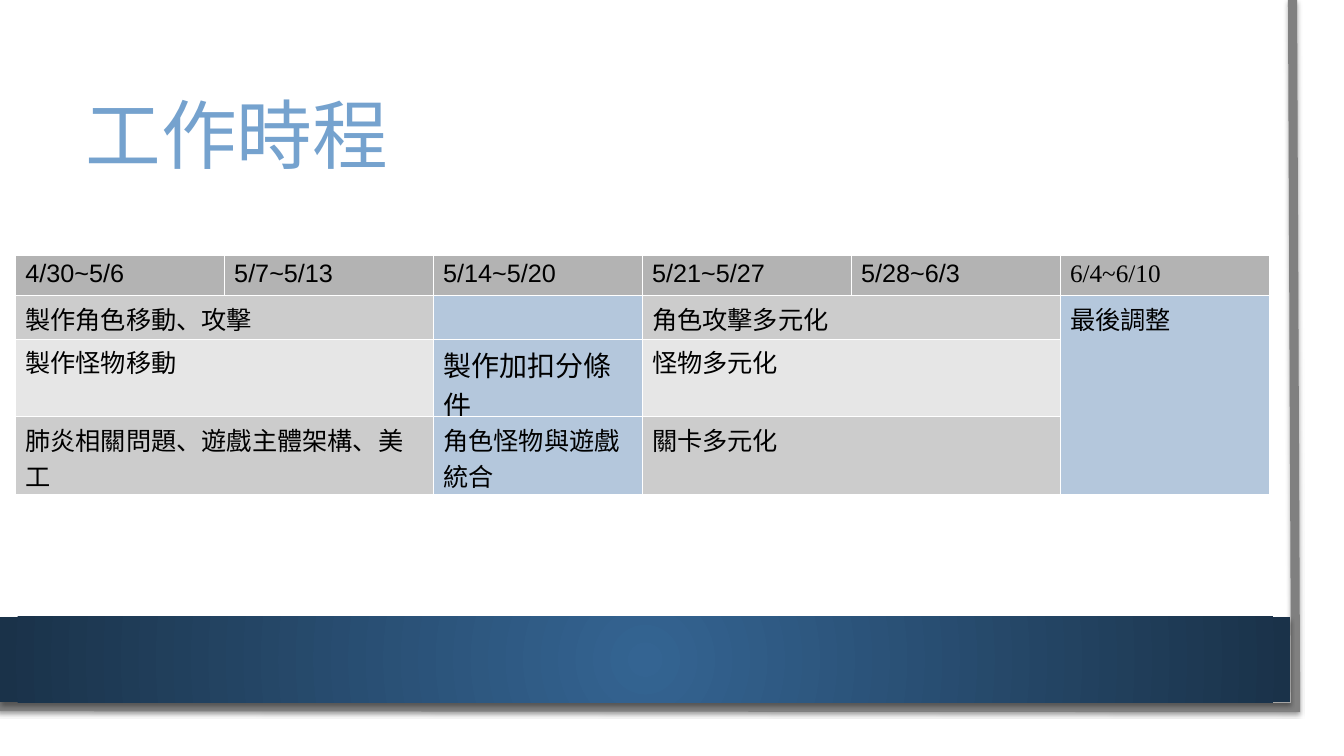
"""Build the work schedule slide."""
import dataclasses
import typing

import lxml.etree
import pptx
import pptx.dml.color
import pptx.enum.dml
import pptx.enum.shapes
import pptx.enum.text
import pptx.oxml
import pptx.oxml.ns
import pptx.util

WIDTH, HEIGHT = pptx.util.Inches(13.33), pptx.util.Inches(7.5)
SANS, CONDENSED, SERIF = "Arial", "Roboto Condensed", "Times New Roman"
HEADER, MID, LIGHT, BLUE = "B3B3B3", "CCCCCC", "E6E6E6", "B4C7DC"
COLUMN_COUNT, COLUMN_SHARE = 6, 15.55
ROW_SHARES = (5.33, 5.73, 5.73, 10.27)
FRAME_POINTS = ((96.17, 0), (96.4, 93.6), (-0.23, 93.47))


@dataclasses.dataclass(frozen=True)
class Area:
    left: float
    top: float
    width: float
    height: float

    def lengths(self) -> tuple[int, int, int, int]:
        return across(self.left), down(self.top), across(self.width), down(self.height)


@dataclasses.dataclass(frozen=True)
class Task:
    row: int
    column: int
    text: str
    fill: str
    font: str = SANS
    size: int = 18
    rows: int = 1
    columns: int = 1


TITLE_AREA = Area(5.63, 10, 85.3, 16.8)
BAND_AREA = Area(0, 81.6, 96.02, 11.33)
TABLE_AREA = Area(1.13, 33.73, COLUMN_COUNT * COLUMN_SHARE, sum(ROW_SHARES))
WEEKS = ("4/30~5/6", "5/7~5/13", "5/14~5/20", "5/21~5/27", "5/28~6/3", "6/4~6/10")
TASKS = [
    Task(0, column, week, HEADER, SERIF if column == COLUMN_COUNT - 1 else SANS)
    for column, week in enumerate(WEEKS)
] + [
    Task(1, 0, "製作角色移動、攻擊", MID, CONDENSED, columns=2),
    Task(1, 2, "", BLUE),
    Task(1, 3, "角色攻擊多元化", MID, columns=2),
    Task(1, 5, "最後調整", BLUE, rows=3),
    Task(2, 0, "製作怪物移動", LIGHT, CONDENSED, columns=2),
    Task(2, 2, "製作加扣分條件", BLUE, CONDENSED, 20),
    Task(2, 3, "怪物多元化", LIGHT, columns=2),
    Task(3, 0, "肺炎相關問題、遊戲主體架構、美工", MID, columns=2),
    Task(3, 2, "角色怪物與遊戲統合", BLUE, SERIF),
    Task(3, 3, "關卡多元化", MID, columns=2),
]


def across(share: float) -> int:
    return round(WIDTH * share / 100)


def down(share: float) -> int:
    return round(HEIGHT * share / 100)


def colour(value: str) -> pptx.dml.color.RGBColor:
    return pptx.dml.color.RGBColor.from_string(value)


def element(markup: str) -> lxml.etree.ElementBase:
    tag, rest = markup[:1], markup[1:]
    end = min(rest.index(mark) for mark in " />" if mark in rest)
    namespace = pptx.oxml.ns.nsdecls("a")
    return pptx.oxml.parse_xml(f"{tag}{rest[:end]} {namespace}{rest[end:]}")


def write(para: typing.Any, text: str, font: str, size: int, ink: str) -> None:
    span = para.add_run()
    span.text = text
    values = {"name": font, "size": pptx.util.Pt(size), "bold": False}
    for name, value in values.items():
        setattr(span.font, name, value)
    span.font.color.rgb = colour(ink)


def add_shadow(shape: typing.Any, opacity: int, distance: float) -> None:
    shape.shadow.inherit = False
    effects = shape._element.spPr.find(pptx.oxml.ns.qn("a:effectLst"))
    effects.append(element(
        f'<a:outerShdw blurRad="{pptx.util.Pt(3.1)}" dist="{pptx.util.Pt(distance)}" '
        f'dir="5400000" rotWithShape="0"><a:srgbClr val="000000">'
        f'<a:alpha val="{opacity * 1000}"/></a:srgbClr></a:outerShdw>'))


def draw_frame(page: typing.Any) -> None:
    points = [(across(left), down(top)) for left, top in FRAME_POINTS]
    builder = page.shapes.build_freeform(*points[0])
    builder.add_line_segments(points[1:], close=False)
    frame = builder.convert_to_shape()
    frame.fill.background()
    frame.line.color.rgb = colour("808080")
    frame.line.width = pptx.util.Pt(6.5)
    frame.line._get_or_add_ln().append(element('<a:miter lim="800000"/>'))
    add_shadow(frame, 38, 1.6)


def draw_band(page: typing.Any) -> None:
    band = page.shapes.add_shape(
        pptx.enum.shapes.MSO_SHAPE.RECTANGLE, *BAND_AREA.lengths())
    band.line.fill.background()
    band.fill.gradient()
    for stop, value in zip(band.fill.gradient_stops, ("346492", "1A3249")):
        stop.color.rgb = colour(value)
    linear = next(band._element.iter(pptx.oxml.ns.qn("a:lin")))
    linear.getparent().replace(linear, element(
        '<a:path path="circle"><a:fillToRect l="50000" t="50000" '
        'r="50000" b="50000"/></a:path>'))
    add_shadow(band, 35, 1.8)


def draw_title(page: typing.Any) -> None:
    frame = page.shapes.add_textbox(*TITLE_AREA.lengths()).text_frame
    frame.word_wrap = True
    frame.vertical_anchor = pptx.enum.text.MSO_ANCHOR.MIDDLE
    para = frame.paragraphs[0]
    para.line_spacing = 0.9
    write(para, "工作時程", CONDENSED, 54, "75A2CE")


def draw_schedule(page: typing.Any) -> None:
    table = page.shapes.add_table(
        len(ROW_SHARES), COLUMN_COUNT, *TABLE_AREA.lengths()).table
    table.first_row = table.horz_banding = False
    for column in table.columns:
        column.width = across(COLUMN_SHARE)
    for row, share in zip(table.rows, ROW_SHARES):
        row.height = down(share)
    for cell in table.iter_cells():
        properties = cell._tc.get_or_add_tcPr()
        for side in "LRTB":
            properties.append(element(
                f'<a:ln{side} w="{pptx.util.Pt(0.06)}"><a:solidFill>'
                f'<a:srgbClr val="FFFFFF"/></a:solidFill></a:ln{side}>'))
    for task in TASKS:
        cell = table.cell(task.row, task.column)
        last_row, last_column = task.row + task.rows - 1, task.column + task.columns - 1
        if (last_row, last_column) != (task.row, task.column):
            cell.merge(table.cell(last_row, last_column))
        for row in range(task.row, last_row + 1):
            for column in range(task.column, last_column + 1):
                fill = table.cell(row, column).fill
                fill.solid()
                fill.fore_color.rgb = colour(task.fill)
        if task.text:
            write(cell.text_frame.paragraphs[0], task.text, task.font, task.size, "000000")


def main() -> None:
    deck = pptx.Presentation()
    deck.slide_width, deck.slide_height = WIDTH, HEIGHT
    page = deck.slides.add_slide(deck.slide_layouts[6])
    for draw in (draw_frame, draw_band, draw_title, draw_schedule):
        draw(page)
    deck.save("out.pptx")


if __name__ == "__main__":
    main()
